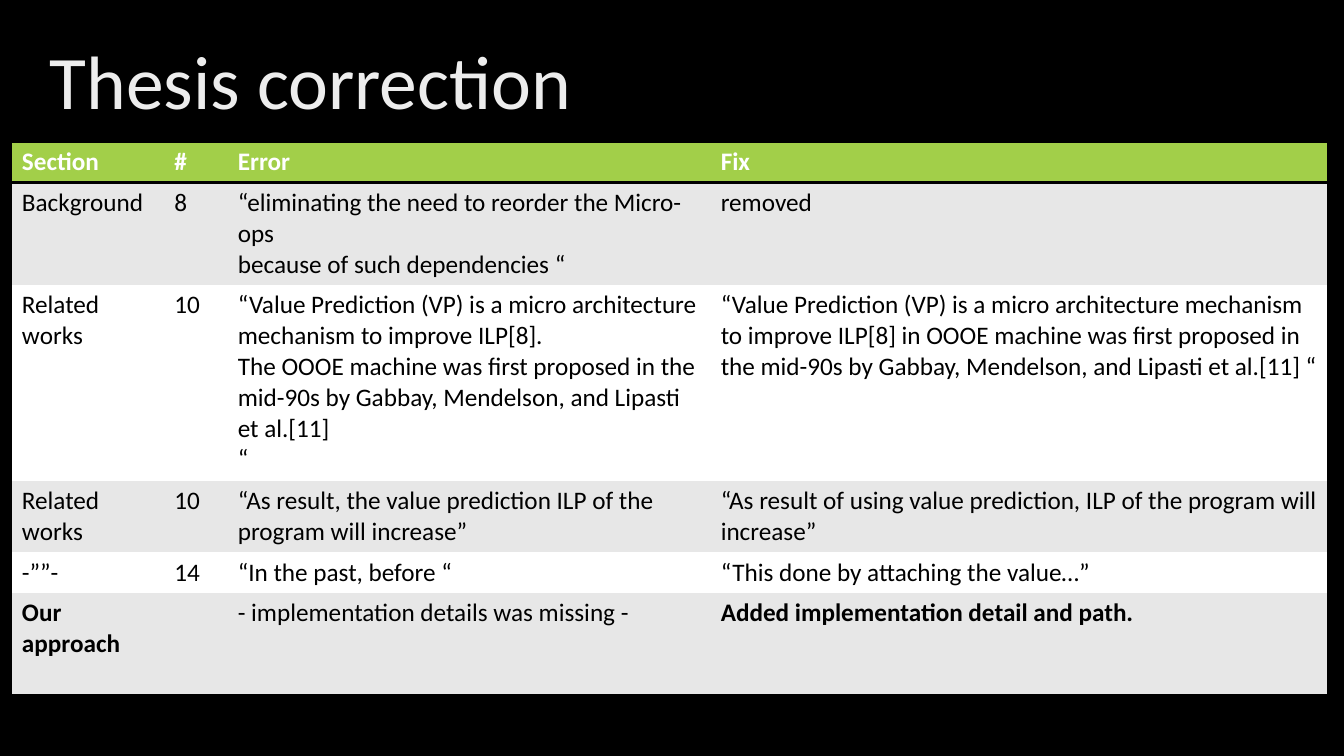
from dataclasses import dataclass

from lxml.etree import SubElement
from pptx import Presentation
from pptx.dml.color import RGBColor
from pptx.enum.text import MSO_ANCHOR
from pptx.oxml.ns import qn
from pptx.slide import Slide
from pptx.table import _Cell
from pptx.text.text import _Paragraph
from pptx.util import Cm, Pt


@dataclass(frozen=True)
class Theme:
    font: str = "Calibri"
    title_size: int = 54
    table_size: int = 18
    border_width: int = 2
    background: str = "000000"
    title: str = "EDEDED"
    header_fill: str = "A2CF49"
    header_text: str = "FFFFFF"
    body_text: str = "000000"
    bands: tuple[str, str] = ("E7E7E7", "FFFFFF")
    border: str = "000000"


@dataclass(frozen=True)
class Correction:
    section: str
    page: str
    error: str
    fix: str
    height: float
    bold_columns: tuple[int, ...] = ()

    def texts(self) -> tuple[str, ...]:
        return self.section, self.page, self.error, self.fix


THEME = Theme()
NO_STYLE_NO_GRID = "{2D5ABB26-0587-4C30-8999-92F81FD0307C}"
COLUMN_WIDTHS = (3.84, 1.6, 12.17, 15.54)
ROWS = (
    Correction("Section", "#", "Error", "Fix", 1.03, (0, 1, 2, 3)),
    Correction(
        "Background", "8",
        "“eliminating the need to reorder the Micro-ops\nbecause of such dependencies “",
        "removed", 2.58,
    ),
    Correction(
        "Related works", "10",
        "“Value Prediction (VP) is a micro architecture mechanism to improve ILP[8]. \n"
        "The OOOE machine was first proposed in the mid-90s by Gabbay, Mendelson, "
        "and Lipasti et al.[11]\n“",
        "“Value Prediction (VP) is a micro architecture mechanism to improve ILP[8] "
        "in OOOE machine was first proposed in the mid-90s by Gabbay, Mendelson, "
        "and Lipasti et al.[11] “",
        4.93,
    ),
    Correction(
        "Related works", "10",
        "“As result, the value prediction ILP of the program will increase”",
        "“As result of using value prediction, ILP of the program will increase”",
        1.8,
    ),
    Correction("-””-", "14", "“In the past, before “", "“This done by attaching the value…”", 1.03),
    Correction(
        "Our approach", "", "- implementation details was missing -",
        "Added implementation detail and path.", 2.57, (0, 3),
    ),
)


def add_text(paragraph: _Paragraph, text: str, size: int, color: str, bold: bool = False) -> None:
    paragraph.font.size = Pt(size)
    for index, line in enumerate(text.split("\n")):
        if index:
            paragraph.add_line_break()
        run = paragraph.add_run()
        run.text = line
        run.font.name = THEME.font
        run.font.size = Pt(size)
        run.font.bold = bold
        run.font.color.rgb = RGBColor.from_string(color)


def add_border(cell: _Cell, side: str) -> None:
    properties = cell._tc.get_or_add_tcPr()
    line = SubElement(properties, qn(f"a:ln{side}"), w=str(Pt(THEME.border_width)))
    SubElement(SubElement(line, qn("a:solidFill")), qn("a:srgbClr"), val=THEME.border)


def add_title(slide: Slide, text: str) -> None:
    shape = slide.shapes.add_textbox(Cm(1), Cm(0.3), Cm(29.21), Cm(3.68))
    frame = shape.text_frame
    frame.word_wrap = True
    frame.vertical_anchor = MSO_ANCHOR.MIDDLE
    paragraph = frame.paragraphs[0]
    paragraph.line_spacing = 0.9
    add_text(paragraph, text, THEME.title_size, THEME.title)


def add_corrections(slide: Slide, rows: tuple[Correction, ...]) -> None:
    shape = slide.shapes.add_table(
        len(rows), len(COLUMN_WIDTHS), Cm(0.3), Cm(3.57),
        Cm(sum(COLUMN_WIDTHS)), Cm(sum(row.height for row in rows)),
    )
    for style in shape.element.iter(qn("a:tableStyleId")):
        style.text = NO_STYLE_NO_GRID
    table = shape.table
    for column, width in zip(table.columns, COLUMN_WIDTHS):
        column.width = Cm(width)
    for row_index, row in enumerate(rows):
        table.rows[row_index].height = Cm(row.height)
        header = row_index == 0
        sides = "TB" if header else "B" if row is rows[-1] else ""
        fill = THEME.header_fill if header else THEME.bands[(row_index - 1) % 2]
        color = THEME.header_text if header else THEME.body_text
        for column_index, text in enumerate(row.texts()):
            cell = table.cell(row_index, column_index)
            for side in sides:
                add_border(cell, side)
            cell.fill.solid()
            cell.fill.fore_color.rgb = RGBColor.from_string(fill)
            if text:
                bold = column_index in row.bold_columns
                add_text(cell.text_frame.paragraphs[0], text, THEME.table_size, color, bold)


def main() -> None:
    presentation = Presentation()
    presentation.slide_width = Cm(33.87)
    presentation.slide_height = Cm(19.05)
    slide = presentation.slides.add_slide(presentation.slide_layouts[6])
    slide.background.fill.solid()
    slide.background.fill.fore_color.rgb = RGBColor.from_string(THEME.background)
    add_title(slide, "Thesis correction")
    add_corrections(slide, ROWS)
    presentation.save("out.pptx")


if __name__ == "__main__":
    main()
